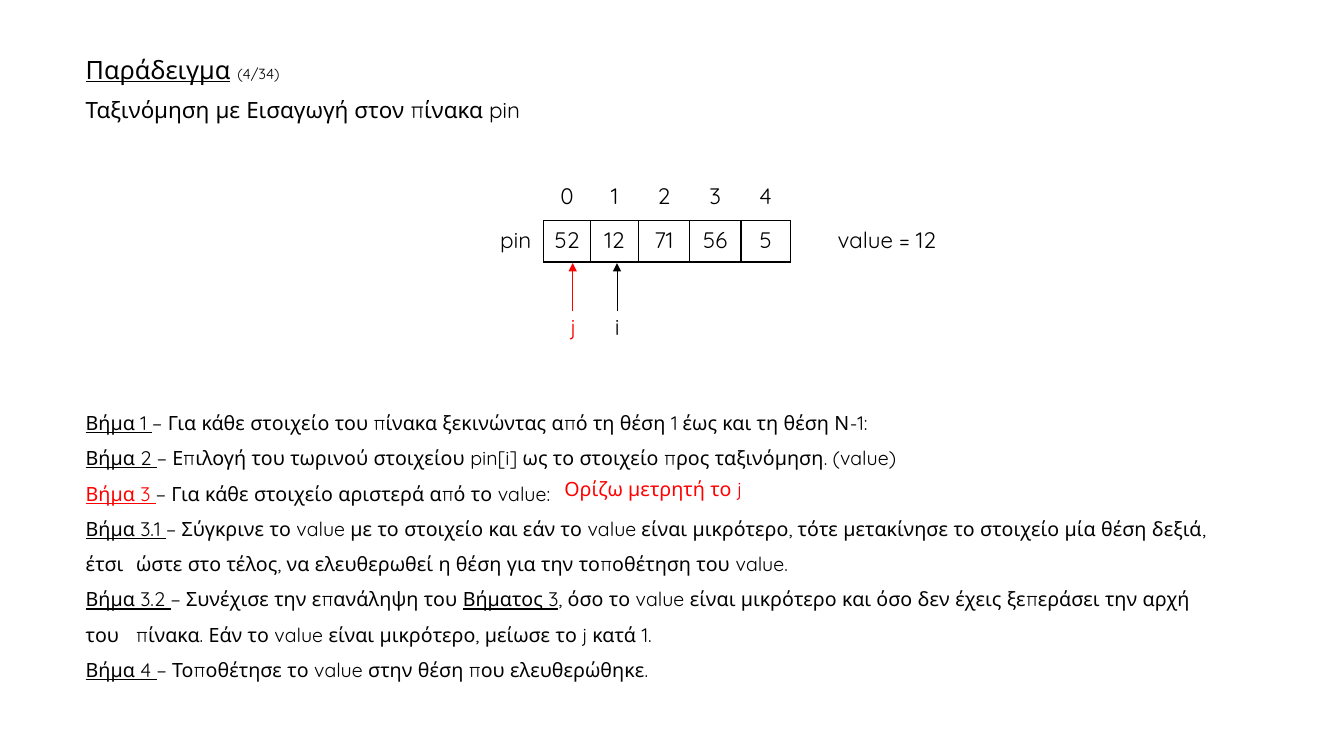
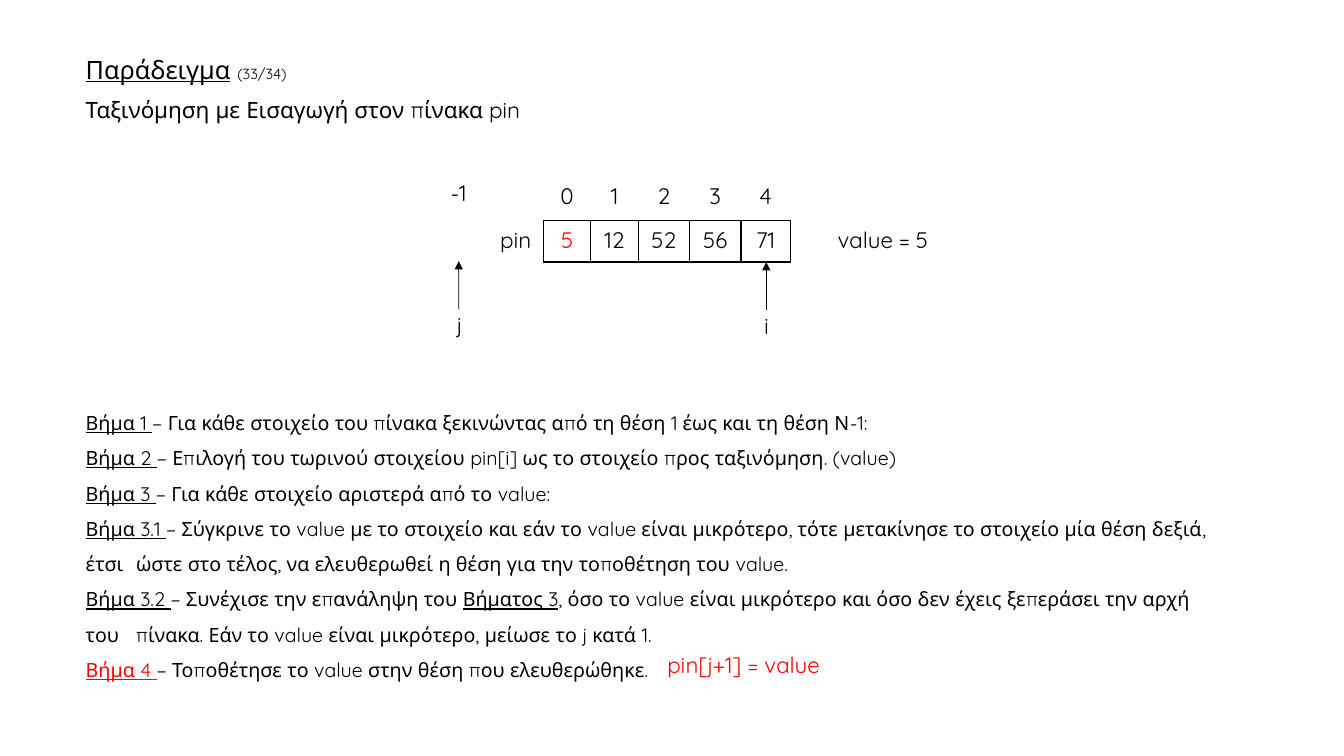
"""Build two insertion sort slides with array, pointers and steps."""
from dataclasses import dataclass

import lxml.etree
import pptx
import pptx.dml.color
import pptx.enum.shapes
import pptx.enum.text
import pptx.oxml.ns
import pptx.slide
import pptx.table
import pptx.text.text
import pptx.util

Inches = pptx.util.Inches
Pt = pptx.util.Pt
Align = pptx.enum.text.PP_ALIGN

INK = {"black": "000000", "red": "FF0000"}
FONT = "Quicksand"
COLS = (0.55, 0.47, 0.47, 0.51, 0.51, 0.49)
ROWS = (0.43, 0.41)
STEPS = (
    "Βήμα 1 |− Για κάθε στοιχείο του πίνακα ξεκινώντας από τη θέση 1 έως και τη θέση Ν-1:",
    "Βήμα 2 |− Επιλογή του τωρινού στοιχείου pin[i] ως το στοιχείο προς ταξινόμηση. (value)",
    "Βήμα 3 |− Για κάθε στοιχείο αριστερά από το value:",
    "Βήμα 3.1 |− Σύγκρινε το value με το στοιχείο και εάν το value είναι μικρότερο, "
    "τότε μετακίνησε το στοιχείο μία θέση δεξιά, έτσι \tώστε στο τέλος, "
    "να ελευθερωθεί η θέση για την τοποθέτηση του value.",
    "Βήμα 3.2 |− Συνέχισε την επανάληψη του |Βήματος 3|, όσο το value είναι μικρότερο "
    "και όσο δεν έχεις ξεπεράσει την αρχή του \tπίνακα. "
    "Εάν το value είναι μικρότερο, μείωσε το j κατά 1.",
    "Βήμα 4 |− Τοποθέτησε το value στην θέση που ελευθερώθηκε.",
)


@dataclass(frozen=True)
class Note:
    text: str
    left: float
    top: float
    width: float
    height: float
    ink: str = "black"
    size: float = 16


@dataclass(frozen=True)
class Mark:
    name: str
    mid: float
    top: float
    ink: str = "black"


@dataclass(frozen=True)
class Page:
    count: str
    nums: tuple[str, ...]
    hot_step: int
    hot_cell: int | None
    marks: tuple[Mark, ...]
    notes: tuple[Note, ...]


PAGES = (
    Page("(4/34)", ("52", "12", "71", "56", "5"), 2, None,
         (Mark("i", 6.12, 3.09), Mark("j", 5.68, 3.09, "red")),
         (Note("value = 12", 8.21, 2.22, 1.31, 0.47),
          Note("Ορίζω μετρητή το j", 5.5, 4.71, 2.56, 0.39, "red", 14))),
    Page("(33/34)", ("5", "12", "52", "56", "71"), 5, 0,
         (Mark("i", 7.6, 3.08), Mark("j", 4.55, 3.07)),
         (Note("value = 5", 8.21, 2.22, 1.31, 0.47),
          Note("-1", 4.37, 1.76, 0.47, 0.36),
          Note("pin[j+1] = value", 6.52, 6.44, 1.98, 0.47, "red"))),
)


def color(ink: str) -> pptx.dml.color.RGBColor:
    return pptx.dml.color.RGBColor.from_string(INK[ink])


def sub(node: lxml.etree._Element, tag: str, **atts: str) -> lxml.etree._Element:
    return lxml.etree.SubElement(node, pptx.oxml.ns.qn(tag), **atts)


def style(par: pptx.text.text._Paragraph, size: float, ink: str = "black") -> None:
    par.font.name = FONT
    par.font.size = Pt(size)
    par.font.color.rgb = color(ink)


def place(shape, left: float, top: float, width: float, height: float):
    shape.left, shape.top = Inches(left), Inches(top)
    shape.width, shape.height = Inches(width), Inches(height)
    frame = shape.text_frame
    frame.word_wrap = True
    frame.auto_size = pptx.enum.text.MSO_AUTO_SIZE.NONE
    frame.vertical_anchor = pptx.enum.text.MSO_ANCHOR.TOP
    return frame


def add_title(slide: pptx.slide.Slide, count: str) -> None:
    frame = place(slide.shapes.title, 0.75, 0.52, 10.79, 0.77)
    head, line = frame.paragraphs[0], frame.add_paragraph()
    for par, size in ((head, 18), (line, 16)):
        par.alignment = Align.LEFT
        par.line_spacing = 0.9
        style(par, size)
    line.space_before = Pt(10)
    word = head.add_run()
    word.text = "Παράδειγμα"
    word.font.underline = True
    head.add_run().text = " "
    tail = head.add_run()
    tail.text = count
    tail.font.size = Pt(10.5)
    line.add_run().text = "Ταξινόμηση με Εισαγωγή στον πίνακα pin"


def add_steps(slide: pptx.slide.Slide, hot: int) -> None:
    frame = place(slide.placeholders[1], 0.75, 3.91, 11.53, 2.88)
    for row, step in enumerate(STEPS):
        par = frame.add_paragraph() if row else frame.paragraphs[0]
        props = par._p.get_or_add_pPr()
        props.set("marL", "0")
        props.set("indent", "0")
        sub(props, "a:buNone")
        sub(sub(props, "a:tabLst"), "a:tab", pos=str(Inches(1)), algn="l")
        par.line_spacing = 1.5
        par.space_before = Pt(0)
        style(par, 14)
        for part, text in enumerate(step.split("|")):
            run = par.add_run()
            run.text = text
            run.font.underline = part % 2 == 0
            if row == hot and part == 0:
                run.font.color.rgb = color("red")


def add_note(slide: pptx.slide.Slide, note: Note, align: Align = Align.LEFT):
    box = slide.shapes.add_textbox(0, 0, 0, 0)
    par = place(box, note.left, note.top, note.width, note.height).paragraphs[0]
    par.text = note.text
    par.alignment = align
    par.line_spacing = 0.9
    style(par, note.size, note.ink)
    return box


def add_mark(slide: pptx.slide.Slide, mark: Mark) -> None:
    label = add_note(slide, Note(mark.name, mark.mid - 0.12, mark.top, 0.24, 0.36, mark.ink),
                     Align.CENTER)
    mid, top = Inches(mark.mid), Inches(mark.top)
    arrow = slide.shapes.add_connector(
        pptx.enum.shapes.MSO_CONNECTOR.STRAIGHT, mid, top, mid, top - Inches(0.48))
    arrow.begin_connect(label, 0)
    arrow.line.color.rgb = color(mark.ink)
    arrow.line.width = Pt(0.5)
    sub(arrow.line._get_or_add_ln(), "a:tailEnd", type="triangle")
    sub(arrow._element.spPr, "a:effectLst")


def set_edges(cell: pptx.table._Cell, dark: str) -> None:
    props = cell._tc.get_or_add_tcPr()
    for side in "LRTB":
        edge = sub(props, f"a:ln{side}", w=str(Pt(1)))
        if side in dark:
            sub(sub(edge, "a:solidFill"), "a:srgbClr", val=INK["black"])
        else:
            sub(edge, "a:noFill")
    cell.fill.background()


def add_array(slide: pptx.slide.Slide, page: Page) -> None:
    grid = slide.shapes.add_table(
        len(ROWS), len(COLS), Inches(4.84), Inches(1.76),
        Inches(sum(COLS)), Inches(sum(ROWS))).table
    grid.first_row = grid.horz_banding = False
    for col, width in enumerate(COLS):
        grid.columns[col].width = Inches(width)
    for row, height in enumerate(ROWS):
        grid.rows[row].height = Inches(height)
    index = ("", *map(str, range(len(page.nums))))
    for row, texts in enumerate((index, ("pin", *page.nums))):
        for col, text in enumerate(texts):
            cell = grid.cell(row, col)
            par = cell.text_frame.paragraphs[0]
            par.text = text
            par.alignment = Align.CENTER
            hot = row == 1 and page.hot_cell is not None and col == page.hot_cell + 1
            style(par, 16, "red" if hot else "black")
            if col:
                set_edges(cell, "LRTB" if row else "B")
            else:
                set_edges(cell, "R" if row else "")


def main() -> None:
    deck = pptx.Presentation()
    deck.slide_width, deck.slide_height = Inches(13.33), Inches(7.5)
    for page in PAGES:
        slide = deck.slides.add_slide(deck.slide_layouts[1])
        add_title(slide, page.count)
        add_steps(slide, page.hot_step)
        add_array(slide, page)
        for mark in page.marks:
            add_mark(slide, mark)
        for note in page.notes:
            add_note(slide, note)
    deck.save("out.pptx")


if __name__ == "__main__":
    main()
